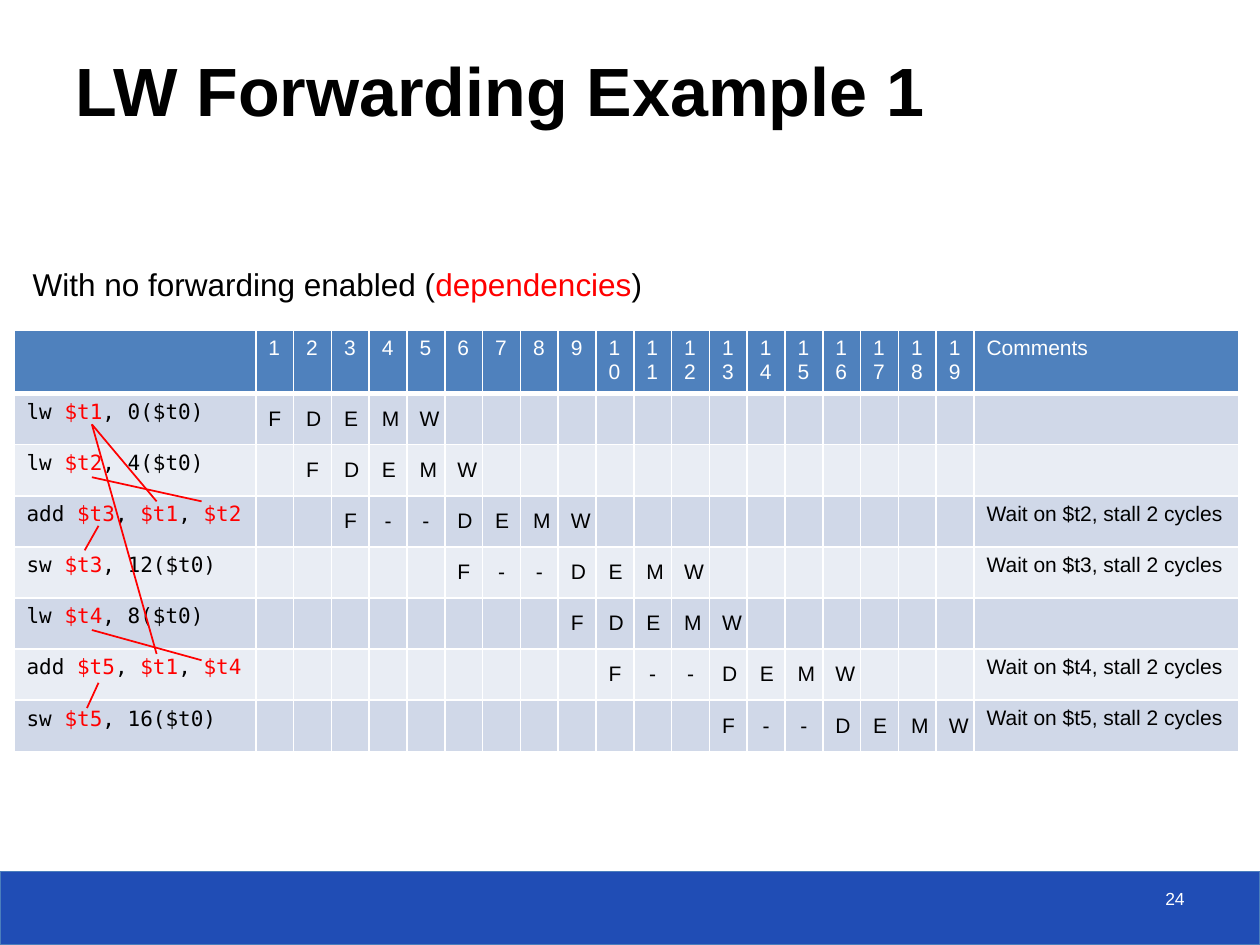
import lxml.etree
import pptx
import pptx.dml.color
import pptx.enum.shapes
import pptx.enum.text
import pptx.oxml.ns
import pptx.util

Pt = pptx.util.Pt
ALIGN = pptx.enum.text.PP_ALIGN
ANCHOR = pptx.enum.text.MSO_ANCHOR

COLORS = {
    "black": "000000",
    "white": "FFFFFF",
    "red": "FF0000",
    "footer": "204DB5",
    "footer_line": "4B7EBC",
    "header": "4F81BD",
    "band_dark": "D0D8E8",
    "band_light": "E9EDF4",
}
SANS = "Arial"
MONO = "DejaVu Sans Mono"

# Instruction (red between asterisks), first cycle, stages, comment
PIPELINE = [
    ("lw *$t1*, 0($t0)", 1, "FDEMW", ""),
    ("lw *$t2*, 4($t0)", 2, "FDEMW", ""),
    ("add *$t3*, *$t1*, *$t2*", 3, "F--DEMW", "Wait on $t2, stall 2 cycles"),
    ("sw *$t3*, 12($t0)", 6, "F--DEMW", "Wait on $t3, stall 2 cycles"),
    ("lw *$t4*, 8($t0)", 9, "FDEMW", ""),
    ("add *$t5*, *$t1*, *$t4*", 10, "F--DEMW", "Wait on $t4, stall 2 cycles"),
    ("sw *$t5*, 16($t0)", 13, "F--DEMW", "Wait on $t5, stall 2 cycles"),
]
CYCLES = 19

# Start and end of each dependency line
DEPENDENCIES = [
    (52.5, 242.5, 89.5, 286.5),
    (52.5, 272.7, 115.2, 286.5),
    (56.3, 300.5, 48.4, 314.5),
    (52.5, 360, 115.2, 377.3),
    (56.3, 390.2, 49.7, 404.6),
    (52.5, 242.5, 89.5, 373.7),
]


def rgb(name):
    return pptx.dml.color.RGBColor.from_string(COLORS[name])


def write_text(frame, text, size=12, font=SANS, color="black", bold=False,
               align=ALIGN.LEFT):
    """Write one paragraph; parts between asterisks are red."""
    paragraph = frame.paragraphs[0]
    paragraph.alignment = align
    for index, part in enumerate(text.split("*")):
        if part:
            run = paragraph.add_run()
            run.text = part
            run.font.size = Pt(size)
            run.font.name = font
            run.font.bold = bold
            run.font.color.rgb = rgb("red" if index % 2 else color)


def add_text_box(slide, left, top, width, height, text, wrap=True,
                 anchor=ANCHOR.TOP, **text_format):
    box = slide.shapes.add_textbox(Pt(left), Pt(top), Pt(width), Pt(height))
    box.text_frame.word_wrap = wrap
    box.text_frame.vertical_anchor = anchor
    write_text(box.text_frame, text, **text_format)
    return box


def add_footer_bar(slide):
    bar = slide.shapes.add_shape(
        pptx.enum.shapes.MSO_SHAPE.RECTANGLE, 0, Pt(498), Pt(720), Pt(42))
    bar.shadow.inherit = False
    bar.fill.solid()
    bar.fill.fore_color.rgb = rgb("footer")
    bar.line.color.rgb = rgb("footer_line")
    bar.line.width = Pt(0.75)


def add_title(slide, text):
    title = add_text_box(slide, 36, 18, 669, 60, text, anchor=ANCHOR.BOTTOM,
                         size=39, bold=True)
    title.fill.solid()
    title.fill.fore_color.rgb = rgb("white")
    # Make the fill 70% opaque
    color = title.fill._xPr.find(".//" + pptx.oxml.ns.qn("a:srgbClr"))
    lxml.etree.SubElement(color, pptx.oxml.ns.qn("a:alpha"), val="70000")


def style_cell(cell, fill, bottom=1):
    """Give a cell white borders and a plain fill."""
    qn = pptx.oxml.ns.qn
    properties = cell._tc.get_or_add_tcPr()
    for side, width in (("L", 1), ("R", 1), ("T", 1), ("B", bottom)):
        border = lxml.etree.SubElement(
            properties, qn("a:ln" + side), w=str(Pt(width)))
        solid = lxml.etree.SubElement(border, qn("a:solidFill"))
        lxml.etree.SubElement(solid, qn("a:srgbClr"), val=COLORS["white"])
    cell.fill.solid()
    cell.fill.fore_color.rgb = rgb(fill)


def add_pipeline_table(slide):
    widths = [138.2] + [21.6] * CYCLES + [151.2]
    heights = [35.5] + [29.2] * len(PIPELINE)
    table = slide.shapes.add_table(
        len(heights), len(widths), Pt(8), Pt(188.9),
        Pt(sum(widths)), Pt(sum(heights))).table
    for column, width in zip(table.columns, widths):
        column.width = Pt(width)
    for row, height in zip(table.rows, heights):
        row.height = Pt(height)

    # Header row
    headings = [""] + [str(cycle + 1) for cycle in range(CYCLES)] + ["Comments"]
    for column, heading in enumerate(headings):
        cell = table.cell(0, column)
        style_cell(cell, "header", bottom=3)
        write_text(cell.text_frame, heading, color="white")

    # Instruction rows
    for row, (instruction, start, stages, comment) in enumerate(PIPELINE, 1):
        for column in range(len(widths)):
            style_cell(table.cell(row, column),
                       "band_dark" if row % 2 else "band_light")
        write_text(table.cell(row, 0).text_frame, instruction, font=MONO)
        for cycle, stage in enumerate(stages, start):
            cell = table.cell(row, cycle)
            cell.vertical_anchor = ANCHOR.MIDDLE
            write_text(cell.text_frame, stage, align=ALIGN.CENTER)
        write_text(table.cell(row, CYCLES + 1).text_frame, comment)


def add_dependency(slide, *ends):
    line = slide.shapes.add_connector(
        pptx.enum.shapes.MSO_CONNECTOR.STRAIGHT, *[Pt(end) for end in ends])
    line.line.color.rgb = rgb("red")
    line.line.width = Pt(1)
    lxml.etree.SubElement(line._element.spPr, pptx.oxml.ns.qn("a:effectLst"))


def main():
    presentation = pptx.Presentation()
    presentation.slide_width = Pt(720)
    presentation.slide_height = Pt(540)
    slide = presentation.slides.add_slide(presentation.slide_layouts[6])

    # Footer
    add_footer_bar(slide)
    add_text_box(slide, 516, 504, 168, 24, "24", size=10, color="white",
                 align=ALIGN.RIGHT)

    # Pipeline diagram
    add_pipeline_table(slide)
    for ends in DEPENDENCIES:
        add_dependency(slide, *ends)

    # Headings
    add_text_box(slide, 11.6, 147.6, 365.8, 29,
                 "With no forwarding enabled (*dependencies*)",
                 wrap=False, size=18)
    add_title(slide, "LW Forwarding Example 1")

    presentation.save("out.pptx")


if __name__ == "__main__":
    main()
